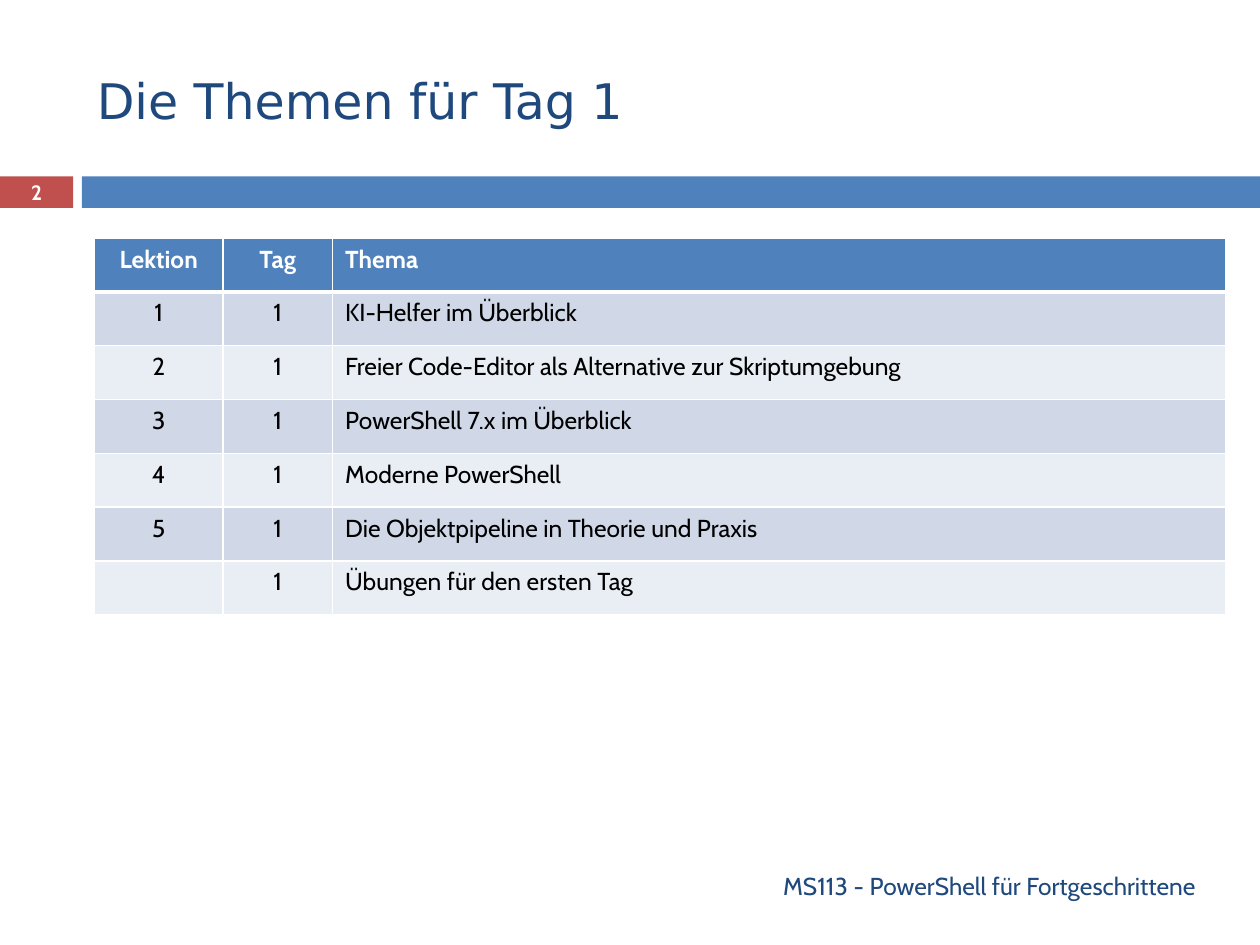
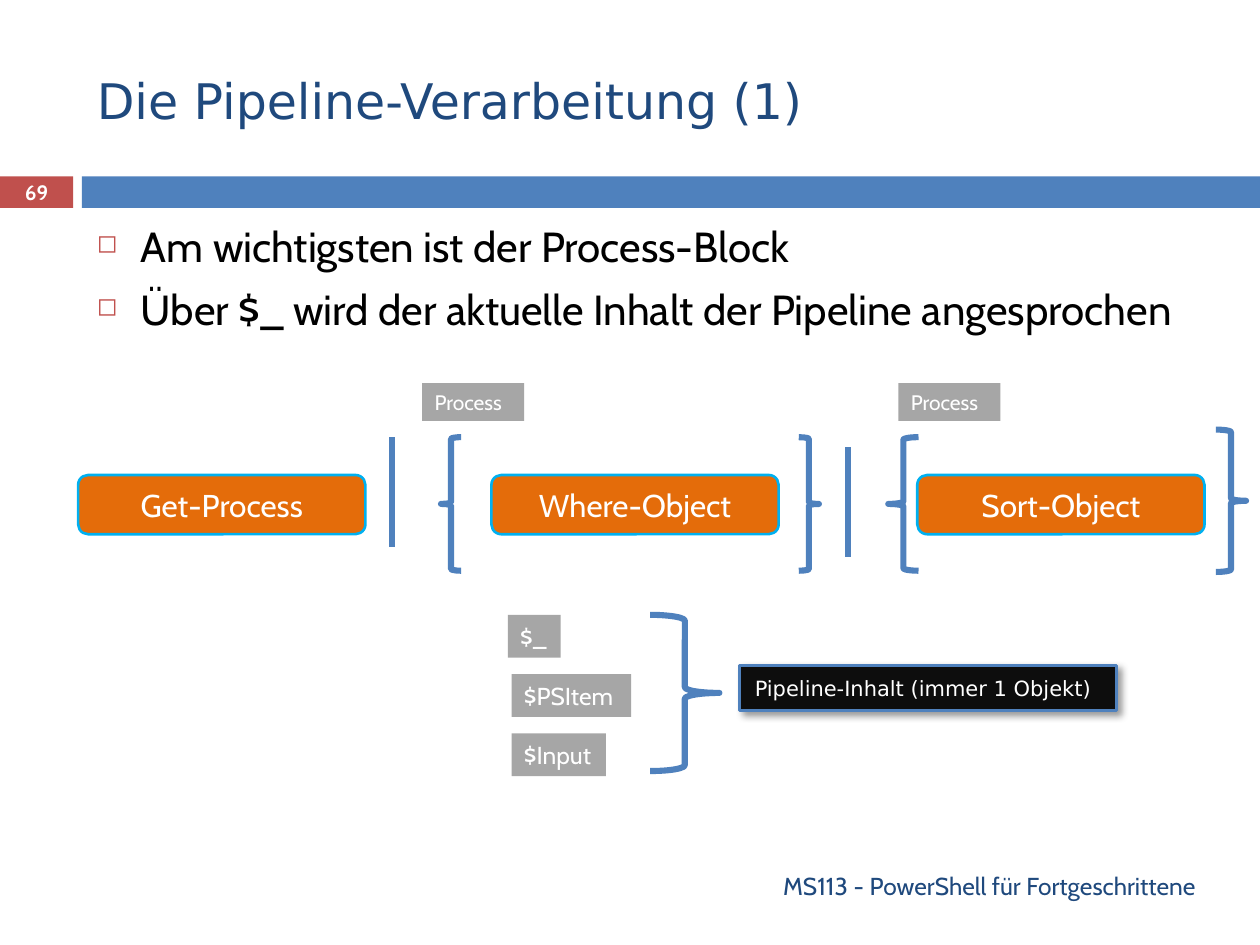
from lxml.etree import SubElement
from pptx import Presentation
from pptx.dml.color import RGBColor
from pptx.enum.shapes import MSO_CONNECTOR, MSO_SHAPE
from pptx.enum.text import MSO_ANCHOR, PP_ALIGN
from pptx.oxml import parse_xml
from pptx.oxml.ns import nsdecls, qn
from pptx.util import Emu, Pt

EMU_PER_PX = 9144

NAVY = RGBColor(0x1F, 0x49, 0x7D)
BLUE = RGBColor(0x4F, 0x81, 0xBD)
RED = RGBColor(0xC0, 0x50, 0x4D)
ORANGE = RGBColor(0xE4, 0x6C, 0x0A)
CYAN = RGBColor(0x00, 0xB0, 0xF0)
GRAY = RGBColor(0xA6, 0xA6, 0xA6)
INK = RGBColor(0x0D, 0x0D, 0x0D)
BLACK = RGBColor(0, 0, 0)
WHITE = RGBColor(0xFF, 0xFF, 0xFF)
ROW_TINTS = RGBColor(0xD0, 0xD8, 0xE8), RGBColor(0xE9, 0xED, 0xF4)

COURSE = "MS113 - PowerShell für Fortgeschrittene"
TITLE = {"name": "DejaVu Sans", "size": Pt(28), "color": NAVY}
FOOTER = {"name": "Cabin", "size": Pt(14), "color": NAVY}
NUMBER = {"name": "Cabin", "size": Pt(11.9), "color": WHITE, "bold": True}
HEADER_CELL = {"name": "Cabin", "size": Pt(14), "color": WHITE, "bold": True}
BODY_CELL = {"name": "Cabin", "size": Pt(14), "color": BLACK, "bold": False}
BODY = {"name": "Cabin", "size": Pt(24), "color": BLACK}
COMMAND = {"name": "Cabin", "size": Pt(18), "color": WHITE}
BLOCK_TAG = {"name": "Cabin", "size": Pt(12), "color": WHITE}
VARIABLE = {"name": "Cabin", "size": Pt(14), "color": WHITE}
CALLOUT = {"name": "DejaVu Sans", "size": Pt(12), "color": WHITE}

TOPICS = [
    ("Lektion", "Tag", "Thema"),
    ("1", "1", "KI-Helfer im Überblick"),
    ("2", "1", "Freier Code-Editor als Alternative zur Skriptumgebung"),
    ("3", "1", "PowerShell 7.x im Überblick"),
    ("4", "1", "Moderne PowerShell"),
    ("5", "1", "Die Objektpipeline in Theorie und Praxis"),
    ("", "1", "Übungen für den ersten Tag"),
]
TOPIC_WIDTHS = 102, 87, 709


def px(length):
    return Emu(length * EMU_PER_PX)


def format_font(font, formats):
    for attribute, value in formats.items():
        if attribute == "color":
            font.color.rgb = value
        else:
            setattr(font, attribute, value)


def write(frame, text, formats, align=PP_ALIGN.LEFT, **frame_formats):
    settings = {"word_wrap": True, "vertical_anchor": MSO_ANCHOR.MIDDLE, **frame_formats}
    for attribute, value in settings.items():
        setattr(frame, attribute, value)
    paragraph = frame.paragraphs[0]
    paragraph.text = text
    paragraph.alignment = align
    format_font(paragraph.font, formats)


def add_text(slide, box, text, formats, align=PP_ALIGN.LEFT):
    label = slide.shapes.add_textbox(*map(px, box))
    write(label.text_frame, text, formats, align)


def add_figure(slide, preset, box, fill=None, line=None, weight=1.5):
    figure = slide.shapes.add_shape(preset, *map(px, box))
    figure.shadow.inherit = False
    if fill is None:
        figure.fill.background()
    else:
        figure.fill.solid()
        figure.fill.fore_color.rgb = fill
    if line is None:
        figure.line.fill.background()
    else:
        figure.line.color.rgb = line
        figure.line.width = Pt(weight)
    return figure


def add_frame(presentation, title, number):
    slide = presentation.slides.add_slide(presentation.slide_layouts[6])
    add_figure(slide, MSO_SHAPE.RECTANGLE, (0, 140, 58, 25), RED)
    add_figure(slide, MSO_SHAPE.RECTANGLE, (65, 140, 935, 25), BLUE)
    add_text(slide, (67, 25, 892, 108), title, TITLE)
    add_text(slide, (67, 683, 892, 40), COURSE, FOOTER, PP_ALIGN.RIGHT)
    add_text(slide, (0, 139, 58, 27), number, NUMBER, PP_ALIGN.CENTER)
    return slide


def set_borders(cell, bottom):
    properties = cell._tc.get_or_add_tcPr()
    for side, weight in {"L": 1, "R": 1, "T": 1, "B": bottom}.items():
        border = SubElement(properties, qn(f"a:ln{side}"), w=str(Pt(weight)))
        fill = SubElement(border, qn("a:solidFill"))
        SubElement(fill, qn("a:srgbClr"), val=str(WHITE))


def add_topics(slide):
    table = slide.shapes.add_table(
        len(TOPICS), len(TOPIC_WIDTHS), px(75), px(189), px(sum(TOPIC_WIDTHS)), px(299)
    ).table
    for column, width in zip(table.columns, TOPIC_WIDTHS):
        column.width = px(width)
    for row, topic in enumerate(TOPICS):
        is_header = row == 0
        for column, text in enumerate(topic):
            cell = table.cell(row, column)
            set_borders(cell, 3 if is_header else 1)
            cell.fill.solid()
            cell.fill.fore_color.rgb = BLUE if is_header else ROW_TINTS[(row - 1) % 2]
            paragraph = cell.text_frame.paragraphs[0]
            paragraph.text = text
            paragraph.alignment = PP_ALIGN.CENTER if column < 2 else PP_ALIGN.LEFT
            format_font(paragraph.font, HEADER_CELL if is_header else BODY_CELL)


def add_bullets(slide, box, lines):
    frame = slide.shapes.add_textbox(*map(px, box)).text_frame
    frame.word_wrap = True
    for index, text in enumerate(lines):
        paragraph = frame.add_paragraph() if index else frame.paragraphs[0]
        paragraph.text = text
        properties = paragraph._p.get_or_add_pPr()
        properties.set("marL", str(px(35)))
        properties.set("indent", str(px(-35)))
        color = SubElement(properties, qn("a:buClr"))
        SubElement(color, qn("a:srgbClr"), val=str(RED))
        SubElement(properties, qn("a:buSzPct"), val="60000")
        SubElement(properties, qn("a:buChar"), char="◻")
        if index:
            paragraph.space_before = Pt(7)
        format_font(paragraph.font, BODY)


def add_command(slide, left, name):
    command = add_figure(slide, MSO_SHAPE.ROUNDED_RECTANGLE, (left, 377, 228, 47), ORANGE, CYAN)
    write(command.text_frame, name, COMMAND, PP_ALIGN.CENTER)


def add_tag(slide, box, text, formats):
    tag = add_figure(slide, MSO_SHAPE.RECTANGLE, box, GRAY)
    write(tag.text_frame, text, formats, margin_right=0)


def add_brace(slide, preset, box):
    add_figure(slide, preset, box, line=BLUE, weight=3.5)


def add_pipe(slide, x, top):
    pipe = slide.shapes.add_connector(
        MSO_CONNECTOR.STRAIGHT, px(x), px(top), px(x), px(top + 87)
    )
    pipe.line.color.rgb = BLUE
    pipe.line.width = Pt(3.5)
    SubElement(pipe._element.spPr, qn("a:effectLst"))


def add_callout(slide, box, text):
    callout = add_figure(slide, MSO_SHAPE.RECTANGLE, box, INK, BLUE)
    effects = callout._element.spPr.find(qn("a:effectLst"))
    effects.append(parse_xml(
        f'<a:outerShdw {nsdecls("a")} blurRad="{Pt(4)}" dist="{Pt(3)}" dir="2700000" '
        'algn="tl" rotWithShape="0"><a:srgbClr val="000000"><a:alpha val="40000"/>'
        '</a:srgbClr></a:outerShdw>'
    ))
    write(callout.text_frame, text, CALLOUT, margin_left=px(12))


def build_topics(presentation):
    add_topics(add_frame(presentation, "Die Themen für Tag 1", "2"))


def build_pipeline(presentation):
    slide = add_frame(presentation, "Die Pipeline-Verarbeitung (1)", "69")
    add_bullets(slide, (67, 170, 892, 92), [
        "Am wichtigsten ist der Process-Block",
        "Über $_ wird der aktuelle Inhalt der Pipeline angesprochen",
    ])
    for left, name in ((62, "Get-Process"), (390, "Where-Object"), (728, "Sort-Object")):
        add_command(slide, left, name)
    for x, top in ((311, 347), (673, 355)):
        add_pipe(slide, x, top)
    for preset, box in (
        (MSO_SHAPE.LEFT_BRACE, (350, 347, 16, 106)),
        (MSO_SHAPE.RIGHT_BRACE, (634, 347, 16, 106)),
        (MSO_SHAPE.LEFT_BRACE, (705, 347, 24, 106)),
        (MSO_SHAPE.RIGHT_BRACE, (965, 341, 24, 113)),
        (MSO_SHAPE.RIGHT_BRACE, (516, 488, 55, 124)),
    ):
        add_brace(slide, preset, box)
    for left in (335, 713):
        add_tag(slide, (left, 304, 81, 30), "Process", BLOCK_TAG)
    variables = ((403, 42, "$_"), (406, 95, "$PSItem"), (406, 75, "$Input"))
    for index, (left, width, name) in enumerate(variables):
        add_tag(slide, (left, 488 + 47 * index, width, 34), name, VARIABLE)
    add_callout(slide, (587, 528, 299, 36), "Pipeline-Inhalt (immer 1 Objekt)")


def main():
    presentation = Presentation()
    presentation.slide_width = px(1000)
    presentation.slide_height = px(750)
    build_topics(presentation)
    build_pipeline(presentation)
    presentation.save("out.pptx")


if __name__ == "__main__":
    main()
